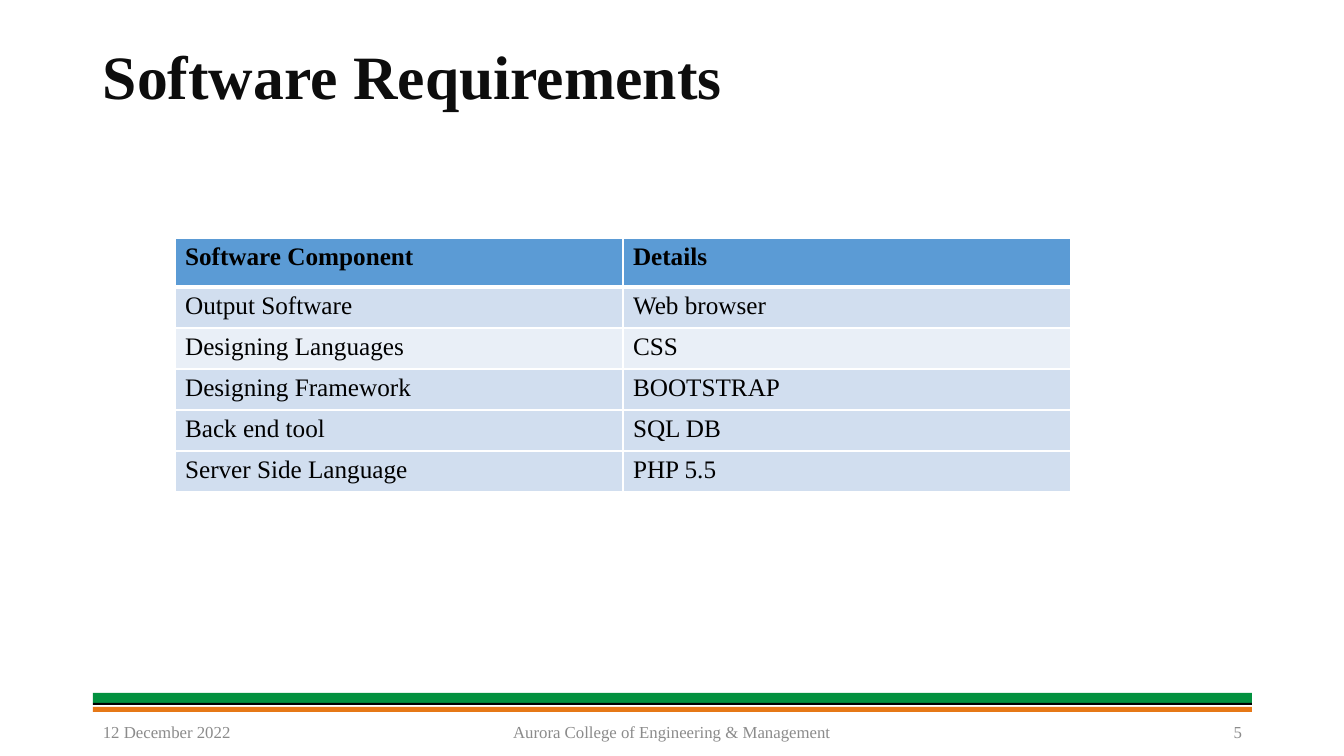
"""Build the software requirements slide."""
import pptx
import pptx.dml.color
import pptx.enum.shapes
import pptx.enum.text
import pptx.oxml
import pptx.oxml.ns
import pptx.util

SCALE = 914400 / 100.8
FONT = "Times New Roman"
ALIGN = pptx.enum.text.PP_ALIGN
ROWS = [
    ("Software Component", "Details"),
    ("Output Software", "Web browser"),
    ("Designing Languages", "CSS"),
    ("Designing Framework", "BOOTSTRAP"),
    ("Back end tool", "SQL DB"),
    ("Server Side Language", "PHP 5.5"),
]
FILLS = ["5B9BD5", "D1DEEF", "E9EFF7", "D1DEEF", "D1DEEF", "D1DEEF"]
BARS = [(693, 10, "02913F"), (707, 5, "E67817"), (703, 2, "000000")]
NOTES = [
    (93, 302, "12 December 2022", ALIGN.LEFT),
    (445, 454, "Aurora College of Engineering & Management", ALIGN.CENTER),
    (950, 302, "5", ALIGN.RIGHT),
]


def px(num):
    """Turn pixels into EMU."""
    return pptx.util.Emu(round(num * SCALE))


def color(code):
    """Turn a hex string into a colour."""
    return pptx.dml.color.RGBColor.from_string(code)


def style(para, size, code, bold=False):
    """Set the font of a paragraph."""
    font = para.font
    font.name, font.size, font.bold = FONT, pptx.util.Pt(size), bold
    font.color.rgb = color(code)


def label(slide, box, text, size, code, align=ALIGN.LEFT, bold=False):
    """Add a vertically centred text box and return its paragraph."""
    frame = slide.shapes.add_textbox(*map(px, box)).text_frame
    frame.word_wrap = True
    frame.vertical_anchor = pptx.enum.text.MSO_ANCHOR.MIDDLE
    para = frame.paragraphs[0]
    para.text, para.alignment = text, align
    style(para, size, code, bold)
    return para


def bar(slide, top, high, code):
    """Add one footer stripe."""
    kind = pptx.enum.shapes.MSO_SHAPE.RECTANGLE
    shape = slide.shapes.add_shape(kind, px(93), px(top), px(1159), px(high))
    shape.shadow.inherit = False
    shape.fill.solid()
    shape.fill.fore_color.rgb = color(code)
    shape.line.fill.background()


def border(cell, side, width):
    """Add a white border to one side of a cell."""
    space = pptx.oxml.ns.nsdecls("a")
    line = pptx.oxml.parse_xml(
        f'<a:ln{side} {space} w="{pptx.util.Pt(width)}"><a:solidFill>'
        f'<a:srgbClr val="FFFFFF"/></a:solidFill></a:ln{side}>')
    cell._tc.get_or_add_tcPr().append(line)


def grid(slide):
    """Add the table of software components."""
    frame = slide.shapes.add_table(
        len(ROWS), 2, px(175), px(238), px(896), px(254))
    table = frame.table
    for col in table.columns:
        col.width = px(448)
    for i, row in enumerate(ROWS):
        table.rows[i].height = px(41 if i else 49)
        for j, text in enumerate(row):
            cell = table.cell(i, j)
            cell.text = text
            style(cell.text_frame.paragraphs[0], 18, "000000", i == 0)
            widths = {"L": 0.96, "R": 0.96, "T": 3 if i == 1 else 0.96,
                      "B": 0.96 if i else 3}
            for side, width in widths.items():
                border(cell, side, width)
            cell.fill.solid()
            cell.fill.fore_color.rgb = color(FILLS[i])


def main():
    """Build and save the slide."""
    deck = pptx.Presentation()
    deck.slide_width, deck.slide_height = px(1344), px(756)
    slide = deck.slides.add_slide(deck.slide_layouts[6])
    for top, high, code in BARS:
        bar(slide, top, high, code)
    title = label(slide, (93, 27, 1159, 105), "Software Requirements",
                  44, "0D0D0D", bold=True)
    title.line_spacing = 0.9
    grid(slide)
    for left, wide, text, align in NOTES:
        label(slide, (left, 712, wide, 40), text, 12, "8B8B8B", align)
    deck.save("out.pptx")


if __name__ == "__main__":
    main()
